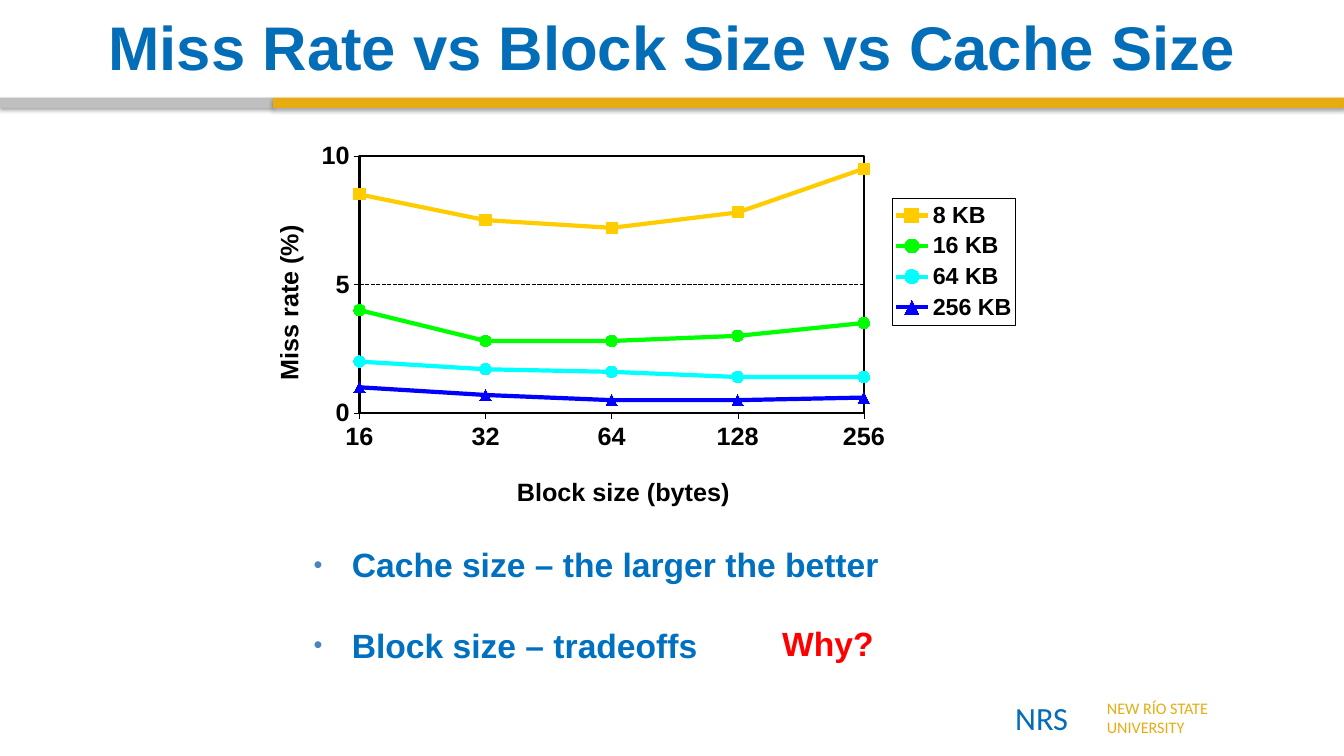
from dataclasses import dataclass

from lxml import etree
from pptx import Presentation
from pptx import util as u
from pptx.chart.data import CategoryChartData
from pptx.dml.color import RGBColor
from pptx.enum import chart as ch, dml, shapes, text
from pptx.oxml import parse_xml
from pptx.oxml.ns import nsdecls, qn


@dataclass(frozen=True)
class Theme:
    font: str = "Arial"
    brand_font: str = "Calibri"
    blue: str = "036DB7"
    gold: str = "E7AC11"
    grey: str = "BFBFBF"
    body: str = "0070C0"
    bullet: str = "4F81BD"
    alert: str = "FF0000"
    ink: str = "000000"
    title_size: float = 44
    body_size: float = 24
    axis_size: float = 18
    legend_size: float = 16.6
    brand_size: float = 23.1
    brand_small: float = 11.5


T = Theme()

CATEGORIES = ["16", "32", "64", "128", "256"]
M = ch.XL_MARKER_STYLE
SERIES = [  # name, miss rates, colour, marker
    ("8 KB", (8.5, 7.5, 7.2, 7.8, 9.5), "FFCC00", M.SQUARE),
    ("16 KB", (4, 2.8, 2.8, 3, 3.5), "00FF00", M.CIRCLE),
    ("64 KB", (2, 1.7, 1.6, 1.4, 1.4), "00FFFF", M.CIRCLE),
    ("256 KB", (1, 0.7, 0.5, 0.5, 0.6), "0000FF", M.TRIANGLE),
]


def rgb(color):
    return RGBColor.from_string(color)


def inches(*box):
    return [u.Inches(v) for v in box]


def style(font, size, color, bold=True, name=T.font):
    font.size, font.bold, font.name = u.Pt(size), bold, name
    font.color.rgb = rgb(color)


def add_run(p, words, size, color, bold=True, name=T.font):
    r = p.add_run()
    r.text = words
    style(r.font, size, color, bold, name)


def add_text(s, box, lines, size, color, bold=True, name=T.font):
    tf = s.shapes.add_textbox(*inches(*box)).text_frame
    tf.word_wrap = True
    for i, line in enumerate(lines):
        p = tf.add_paragraph() if i else tf.paragraphs[0]
        add_run(p, line, size, color, bold, name)
    return tf


# Title and the two-tone rule under it
def add_title(s, box):
    title = s.shapes.title
    title.left, title.top, title.width, title.height = inches(*box)
    tf = title.text_frame
    tf.word_wrap = True
    tf.vertical_anchor = text.MSO_ANCHOR.MIDDLE
    p = tf.paragraphs[0]
    p.alignment = text.PP_ALIGN.CENTER
    add_run(p, "Miss Rate vs Block Size vs Cache Size", T.title_size, T.blue)


def add_rule(s, box, split):
    x, y, w, h = box
    for left, width, color in ((x, split, T.grey), (x + split, w - split, T.gold)):
        sp = s.shapes.add_shape(shapes.MSO_SHAPE.RECTANGLE, *inches(left, y, width, h))
        sp.fill.solid()
        sp.fill.fore_color.rgb = rgb(color)
        sp.line.fill.background()
        sp._element.spPr.append(parse_xml(
            f'<a:effectLst {nsdecls("a")}><a:outerShdw blurRad="39370" dist="22860" '
            'dir="5400000" rotWithShape="0"><a:srgbClr val="000000">'
            '<a:alpha val="35000"/></a:srgbClr></a:outerShdw></a:effectLst>'))


# Chart
def place(element, index, x, y, w=None, h=None, inner=False):
    """Give a chart part a manual layout in fractions of the chart."""
    for old in element.findall(qn("c:layout")):
        element.remove(old)
    values = [("layoutTarget", "inner")] if inner else []
    values += [("xMode", "edge"), ("yMode", "edge"), ("x", x), ("y", y)]
    if w:
        values += [("w", w), ("h", h)]
    body = "".join(f'<c:{tag} val="{value}"/>' for tag, value in values)
    element.insert(index, parse_xml(
        f'<c:layout {nsdecls("c")}><c:manualLayout>{body}</c:manualLayout></c:layout>'))


def outline(points):
    return parse_xml(
        f'<c:spPr {nsdecls("c", "a")}><a:noFill/><a:ln w="{u.Pt(points)}"><a:solidFill>'
        f'<a:srgbClr val="{T.ink}"/></a:solidFill></a:ln></c:spPr>')


def format_axis(axis, words, x, y):
    tf = axis.axis_title.text_frame
    add_run(tf.paragraphs[0], words, T.axis_size, T.ink)
    place(axis.axis_title._element, 1, x, y)
    style(axis.tick_labels.font, T.axis_size, T.ink)
    axis.major_tick_mark = ch.XL_TICK_MARK.OUTSIDE
    axis.format.line.color.rgb = rgb(T.ink)
    axis.format.line.width = u.Pt(0.25)


def format_value_axis(axis):
    axis.minimum_scale, axis.maximum_scale, axis.major_unit = 0, 10, 5
    axis.has_major_gridlines = True
    grid = axis.major_gridlines.format.line
    grid.color.rgb = rgb(T.ink)
    grid.width = u.Pt(1)
    grid.dash_style = dml.MSO_LINE.SQUARE_DOT
    # Lines start on the axis itself
    between = axis._element.find(qn("c:crossBetween"))
    if between is None:
        between = etree.Element(qn("c:crossBetween"))
        axis._element.find(qn("c:crosses")).addnext(between)
    between.set("val", "midCat")


def format_series(series, color, marker):
    series.smooth = False
    series.format.line.color.rgb = rgb(color)
    series.format.line.width = u.Pt(3)
    series.marker.style, series.marker.size = marker, 8
    series.marker.format.fill.solid()
    series.marker.format.fill.fore_color.rgb = rgb(color)
    series.marker.format.line.fill.background()


def add_miss_chart(s, box):
    data = CategoryChartData()
    data.categories = CATEGORIES
    for name, values, _, _ in SERIES:
        data.add_series(name, values)
    chart = s.shapes.add_chart(ch.XL_CHART_TYPE.LINE_MARKERS, *inches(*box), data).chart
    chart.has_title = False
    style(chart.font, T.axis_size, T.ink)
    plot = chart.plots[0]
    plot.vary_by_categories = False
    for series, (_, _, color, marker) in zip(plot.series, SERIES):
        format_series(series, color, marker)

    format_axis(chart.category_axis, "Block size (bytes)", 0.33, 0.89)
    format_axis(chart.value_axis, "Miss rate (%)", 0.01, 0.24)
    format_value_axis(chart.value_axis)
    area = chart._chartSpace.chart.plotArea
    place(area, 0, 0.13, 0.07, 0.66, 0.67, inner=True)
    area.append(outline(1.5))

    chart.has_legend = True
    legend = chart.legend
    legend.position = ch.XL_LEGEND_POSITION.RIGHT
    legend.include_in_layout = False
    style(legend.font, T.legend_size, T.ink)
    place(legend._element, 1, 0.83, 0.18, 0.16, 0.33)
    legend._element.find(qn("c:txPr")).addprevious(outline(0.25))


# Takeaways and the question beside them
def add_takeaways(s, box):
    x, y, w, h = box
    lines = ["Cache size – the larger the better", "Block size – tradeoffs"]
    tf = add_text(s, box, lines, T.body_size, T.body)
    tf.margin_left = tf.margin_right = u.Inches(0.07)
    tf.margin_top = tf.margin_bottom = u.Inches(0.03)
    tf.paragraphs[1].space_before = u.Pt(28.5)
    for p in tf.paragraphs:
        pPr = p._p.get_or_add_pPr()
        pPr.set("marL", str(u.Inches(0.38)))
        pPr.set("indent", str(-u.Inches(0.38)))
        for xml in (f'<a:buClr {nsdecls("a")}><a:srgbClr val="{T.bullet}"/></a:buClr>',
                    f'<a:buSzPct {nsdecls("a")} val="75000"/>',
                    f'<a:buFont {nsdecls("a")} typeface="{T.font}"/>',
                    f'<a:buChar {nsdecls("a")} char="•"/>'):
            pPr.append(parse_xml(xml))
    add_text(s, (x + 4.62, y + 0.76, 3.66, 0.5), ["Why?"], T.body_size, T.alert)


# School name in the corner
def add_school(s, box):
    x, y, w, h = box
    short_width = 0.91
    add_text(s, (x, y, short_width, h), ["NRS"], T.brand_size, T.blue,
             False, T.brand_font)
    add_text(s, (x + short_width, y, w - short_width, h), ["NEW RÍO STATE", "UNIVERSITY"],
             T.brand_small, T.gold, False, T.brand_font)


def main():
    prs = Presentation()
    prs.slide_width, prs.slide_height = inches(13.33, 7.5)
    s = prs.slides.add_slide(prs.slide_layouts[5])
    add_school(s, (9.97, 6.88, 2.27, 0.49))
    add_rule(s, (0, 0.97, 13.33, 0.1), split=2.71)
    add_title(s, (0.67, 0.08, 12, 0.76))
    add_miss_chart(s, (2.58, 1.28, 7.58, 3.82))
    add_takeaways(s, (3.04, 5.37, 9.26, 1.27))
    prs.save("out.pptx")


if __name__ == "__main__":
    main()
